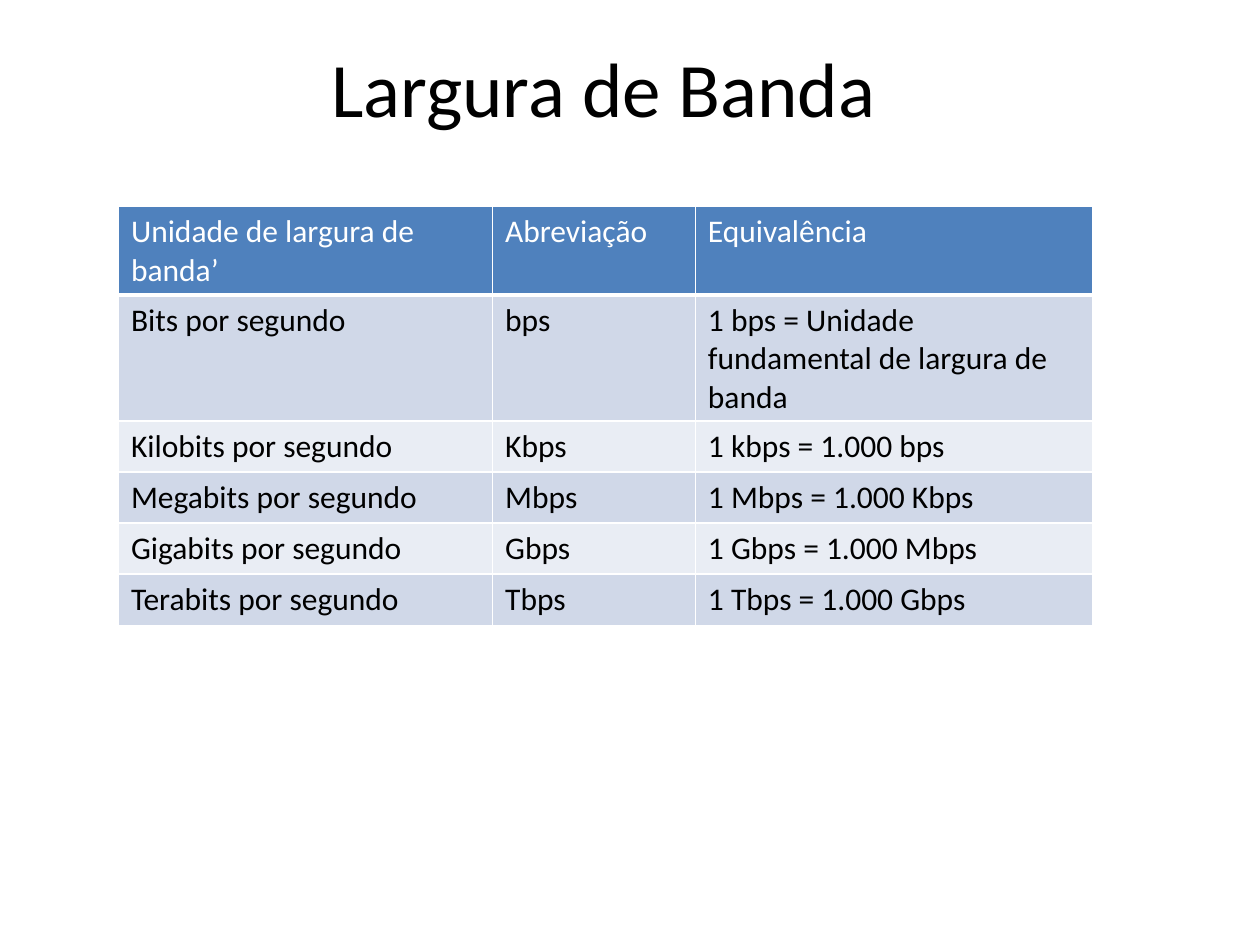
from dataclasses import dataclass
from lxml.etree import SubElement as Sub
from pptx import Presentation
from pptx.dml.color import RGBColor as RGB
from pptx.enum.text import MSO_ANCHOR as Anchor, PP_ALIGN as Align
from pptx.oxml.ns import qn
from pptx.util import Pt


@dataclass(frozen=True)
class Theme:
    font: str = "Calibri"
    title: float = 44
    body: float = 18
    ink: str = "000000"
    white: str = "FFFFFF"
    head: str = "4F81BD"
    bands: tuple[str, str] = ("D0D8E8", "E9EDF4")
    thin: float = 1
    thick: float = 3


@dataclass(frozen=True)
class Unit:
    name: str
    abbr: str
    equal: str


THEME = Theme()
HEAD = Unit("Unidade de largura de banda’", "Abreviação", "Equivalência")
UNITS = [
    Unit("Bits por segundo", "bps",
         "1 bps = Unidade fundamental de largura de banda"),
    Unit("Kilobits por segundo", "Kbps", "1 kbps = 1.000 bps"),
    Unit("Megabits por segundo", "Mbps", "1 Mbps = 1.000 Kbps"),
    Unit("Gigabits por segundo", "Gbps", "1 Gbps = 1.000 Mbps"),
    Unit("Terabits por segundo", "Tbps", "1 Tbps = 1.000 Gbps"),
]
COLS = (213.8, 115.9, 226.8)
ROW = 29.2


def write(frame, text: str, size: float, color: str, align=Align.LEFT) -> None:
    para = frame.paragraphs[0]
    para.alignment = align
    run = para.add_run()
    run.text = text
    run.font.name = THEME.font
    run.font.size = Pt(size)
    run.font.bold = False
    run.font.color.rgb = RGB.from_string(color)


def edge(cell, base: float) -> None:
    """Draw white borders; base is the width of the bottom one."""
    props = cell._tc.get_or_add_tcPr()
    for side in "LRTB":
        width = base if side == "B" else THEME.thin
        line = Sub(props, qn(f"a:ln{side}"), w=str(Pt(width)))
        fill = Sub(line, qn("a:solidFill"))
        Sub(fill, qn("a:srgbClr"), val=THEME.white)


def draw_row(table, index: int, unit: Unit) -> None:
    top = index == 0
    fill = THEME.head if top else THEME.bands[(index - 1) % 2]
    color = THEME.white if top else THEME.ink
    table.rows[index].height = Pt(ROW)
    for col, text in enumerate((unit.name, unit.abbr, unit.equal)):
        cell = table.cell(index, col)
        edge(cell, THEME.thick if top else THEME.thin)
        cell.fill.solid()
        cell.fill.fore_color.rgb = RGB.from_string(fill)
        write(cell.text_frame, text, THEME.body, color)


def draw_table(slide) -> None:
    rows = [HEAD, *UNITS]
    frame = slide.shapes.add_table(len(rows), len(COLS), Pt(67.7), Pt(118.1),
                                   Pt(sum(COLS)), Pt(ROW * len(rows)))
    table = frame.table
    table.horz_banding = False
    for col, width in zip(table.columns, COLS):
        col.width = Pt(width)
    for index, unit in enumerate(rows):
        draw_row(table, index, unit)


def draw_title(slide, text: str) -> None:
    box = slide.shapes.add_textbox(Pt(28.1), Pt(25.2), Pt(633.6), Pt(48.2))
    frame = box.text_frame
    frame.word_wrap = True
    frame.vertical_anchor = Anchor.MIDDLE
    write(frame, text, THEME.title, THEME.ink, Align.CENTER)


def main() -> None:
    deck = Presentation()
    deck.slide_width, deck.slide_height = Pt(720), Pt(540)
    slide = deck.slides.add_slide(deck.slide_layouts[6])
    # Title
    draw_title(slide, "Largura de Banda")
    # Table of bandwidth units
    draw_table(slide)
    deck.save("out.pptx")


if __name__ == "__main__":
    main()
